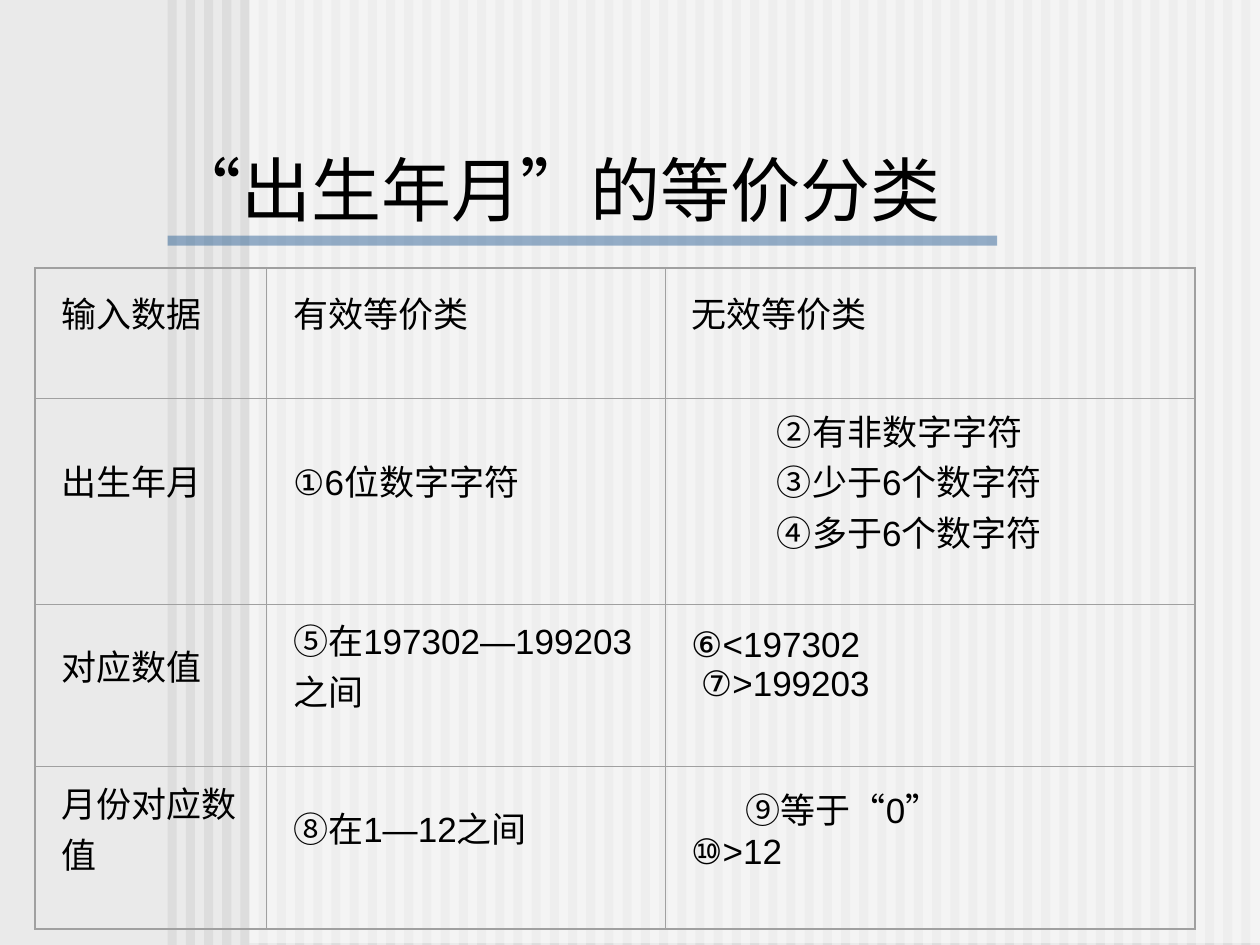
import pptx
import pptx.dml.color
import pptx.enum.lang
import pptx.enum.shapes
import pptx.enum.text
import pptx.oxml
import pptx.oxml.ns
import pptx.util

Pt = pptx.util.Pt
ALIGN = pptx.enum.text.PP_ALIGN
ANCHOR = pptx.enum.text.MSO_ANCHOR
ZH = pptx.enum.lang.MSO_LANGUAGE_ID.SIMPLIFIED_CHINESE
COLORS = {"back": "EAEAEA", "stripe": "DDDDDD", "veil": "FFFFFF",
          "bar": "336699", "grid": "A0A0A0", "text": "000000"}
HIGH = 540

# Each cell is a list of (text, left indent) lines
ROWS = [
    [[("输入数据", 0)], [("有效等价类", 0)], [("无效等价类", 0)]],
    [[("出生年月", 0)], [("①6位数字字符", 0)],
     [("②有非数字字符", 49), ("③少于6个数字符", 49), ("④多于6个数字符", 49)]],
    [[("对应数值", 0)], [("⑤在197302—199203之间", 0)],
     [("⑥<197302", 0), ("⑦>199203", 5.5)]],
    [[("月份对应数值", 0)], [("⑧在1—12之间", 0)],
     [("⑨等于“0”", 31), ("⑩>12", 0)]],
]
WIDTHS = [132.5, 227.5, 303]
HEIGHTS = [74.2, 111.2, 92.9, 92.9]


def color(name):
    return pptx.dml.color.RGBColor.from_string(COLORS[name])


def write(par, text, size=20, indent=0, align=ALIGN.LEFT):
    """Put formatted text in a paragraph."""
    par.alignment = align
    par._p.get_or_add_pPr().set("marL", str(int(Pt(indent))))
    run = par.add_run()
    run.text = text
    font = run.font
    font.size, font.name, font.bold = Pt(size), "Arial", False
    font.color.rgb = color("text")
    font.language_id = ZH


class Deck:
    def __init__(self):
        self.prs = pptx.Presentation()
        self.prs.slide_width, self.prs.slide_height = Pt(720), Pt(HIGH)
        self.slide = self.prs.slides.add_slide(self.prs.slide_layouts[5])
        fill = self.slide.background.fill
        fill.solid()
        fill.fore_color.rgb = color("back")

    def rect(self, x, y, w, h, name, alpha=None):
        kind = pptx.enum.shapes.MSO_SHAPE.RECTANGLE
        box = self.slide.shapes.add_shape(kind, Pt(x), Pt(y), Pt(w), Pt(h))
        box.shadow.inherit = False
        box.line.fill.background()
        box.fill.solid()
        box.fill.fore_color.rgb = color(name)
        if alpha is not None:
            tone = box.fill._xPr.find(".//" + pptx.oxml.ns.qn("a:srgbClr"))
            tone.append(pptx.oxml.parse_xml(
                f'<a:alpha {pptx.oxml.ns.nsdecls("a")} val="{alpha * 1000}"/>'))

    def title(self, text, x, y, w, h):
        box = self.slide.shapes.title
        box.left, box.top, box.width, box.height = Pt(x), Pt(y), Pt(w), Pt(h)
        frame = box.text_frame
        frame.word_wrap = True
        frame.vertical_anchor = ANCHOR.BOTTOM
        write(frame.paragraphs[0], text, size=40)
        # Bring the title in front of the stripes
        self.slide.shapes._spTree.append(box._element)

    def border(self, cell, side, width):
        cell._tc.get_or_add_tcPr().append(pptx.oxml.parse_xml(
            f'<a:ln{side} {pptx.oxml.ns.nsdecls("a")} w="{int(Pt(width))}">'
            f'<a:solidFill><a:srgbClr val="{COLORS["grid"]}"/></a:solidFill>'
            f'</a:ln{side}>'))

    def cell(self, cell, lines, edges):
        cell.margin_left = cell.margin_right = Pt(15)
        cell.margin_top, cell.margin_bottom = Pt(3.6), Pt(27)
        cell.vertical_anchor = ANCHOR.MIDDLE
        for side, outer in edges.items():
            self.border(cell, side, 1 if outer else 0.5)
        cell.fill.background()
        frame = cell.text_frame
        align = ALIGN.JUSTIFY if len(lines) == 3 else ALIGN.LEFT
        for i, (text, indent) in enumerate(lines):
            par = frame.add_paragraph() if i else frame.paragraphs[0]
            write(par, text, indent=indent, align=align)

    def table(self, rows, x, y, widths, heights):
        grid = self.slide.shapes.add_table(
            len(heights), len(widths), Pt(x), Pt(y),
            Pt(sum(widths)), Pt(sum(heights))).table
        grid.first_row = grid.horz_banding = False
        for col, width in zip(grid.columns, widths):
            col.width = Pt(width)
        for row, height in zip(grid.rows, heights):
            row.height = Pt(height)
        for r, row in enumerate(rows):
            for c, lines in enumerate(row):
                edges = {"L": c == 0, "R": c == len(widths) - 1,
                         "T": r == 0, "B": r == len(heights) - 1}
                self.cell(grid.cell(r, c), lines, edges)


def main():
    deck = Deck()
    # Striped backdrop with a pale veil
    for i in range(60):
        deck.rect(95.8 + 10.4 * i, 0, 5.2, HIGH, "stripe")
    deck.rect(142.5, 0, 577.5, HIGH - 1, "veil", alpha=50)
    # Title and its underline
    deck.rect(95.8, 134.6, 474, 5.8, "bar", alpha=50)
    deck.title("“出生年月”的等价分类", 90.7, 20.2, 613.4, 115.2)
    # Equivalence classes
    deck.table(ROWS, 20, 153.2, WIDTHS, HEIGHTS)
    deck.prs.save("out.pptx")


if __name__ == "__main__":
    main()
